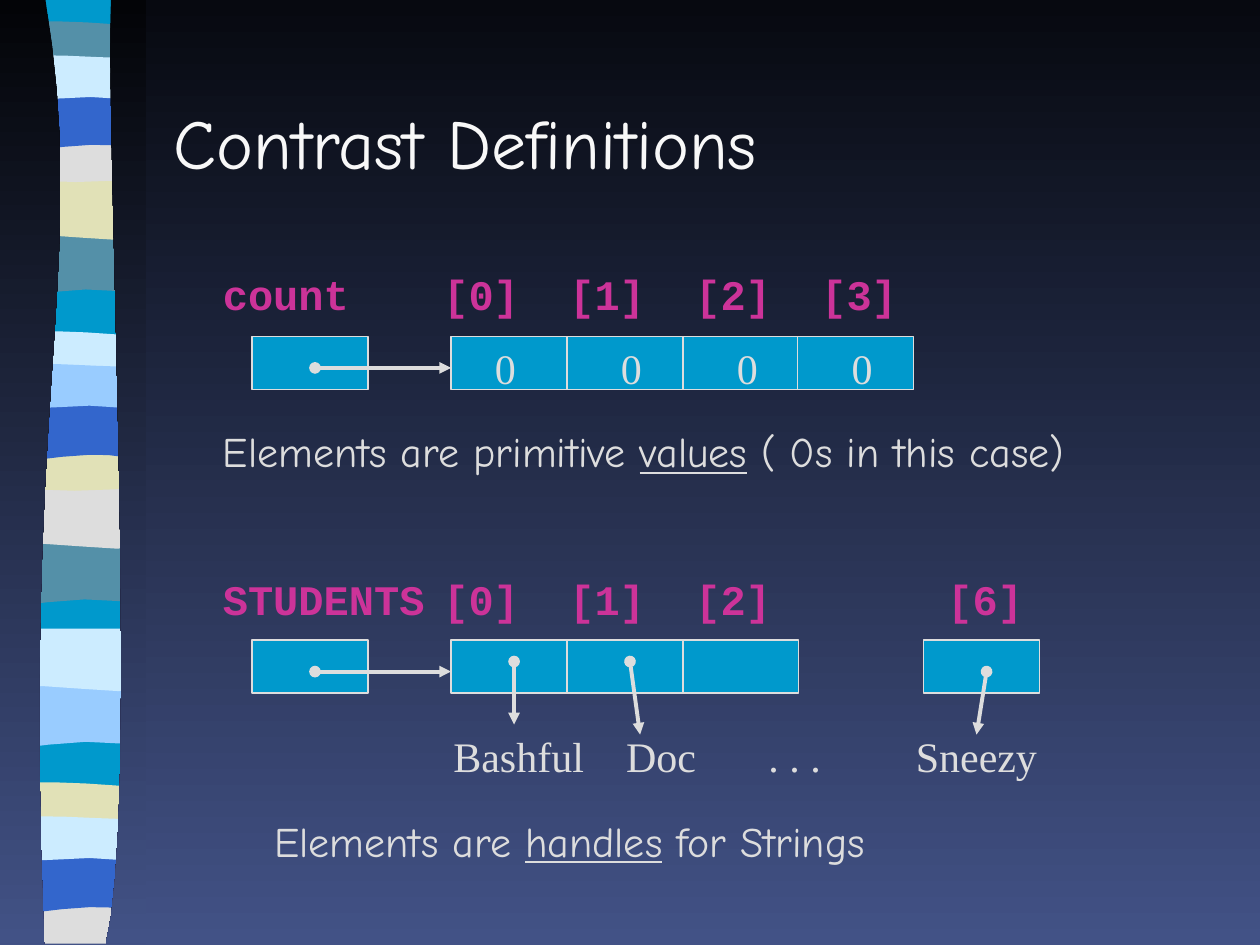
from math import dist

from lxml.etree import SubElement
from pptx import Presentation
from pptx.dml.color import RGBColor
from pptx.enum.shapes import MSO_CONNECTOR, MSO_SHAPE
from pptx.enum.text import MSO_ANCHOR, MSO_AUTO_SIZE
from pptx.oxml.ns import qn
from pptx.util import Inches, Pt

CYAN = RGBColor(0x00, 0x99, 0xCC)
TEAL = RGBColor(0x54, 0x90, 0xA8)
SAND = RGBColor(0xE1, 0xE1, 0xB7)
SILVER = RGBColor(0xDD, 0xDD, 0xDD)
BLUE = RGBColor(0x33, 0x66, 0xCC)
ICE = RGBColor(0xCC, 0xEC, 0xFF)
SKY = RGBColor(0x99, 0xCC, 0xFF)
PINK = RGBColor(0xCC, 0x33, 0x99)
WHITE = RGBColor(0xF8, 0xF8, 0xF8)
NIGHT = RGBColor(0x07, 0x09, 0x10)
BLACK = RGBColor(0x03, 0x04, 0x07)
DUSK = RGBColor(0x42, 0x52, 0x86)

deck = Presentation()
deck.slide_width, deck.slide_height = Inches(10), Inches(7.5)
slide = deck.slides.add_slide(deck.slide_layouts[6])
shapes = slide.shapes


def add_outline(left, top, steps):
    """Draw a closed outline; a step is a point (x, y) or a cubic curve of six numbers."""
    points = [steps[0]]
    for step in steps[1:]:
        if len(step) == 2:
            points.append(step)
            continue
        corners = [points[-1], step[:2], step[2:4], step[4:]]
        count = 2 + round(2 * dist(corners[0], corners[3]))
        for i in range(1, count + 1):
            t = i / count
            weights = ((1 - t) ** 3, 3 * t * (1 - t) ** 2, 3 * t * t * (1 - t), t ** 3)
            points.append(tuple(sum(w * corner[axis] for w, corner in zip(weights, corners))
                                for axis in (0, 1)))
    places = [(Inches(left + x), Inches(top + y)) for x, y in points]
    builder = shapes.build_freeform(*places[0])
    builder.add_line_segments(places[1:], close=True)
    outline = builder.convert_to_shape()
    outline.shadow.inherit = False
    outline.line.fill.background()
    return outline


def add_text(place, pieces, color, font_format, tabs=()):
    """Add a one-line text box; every second piece is underlined."""
    box = shapes.add_textbox(*map(Inches, place))
    frame = box.text_frame
    frame.word_wrap = True
    para = frame.paragraphs[0]
    for i, piece in enumerate(pieces):
        span = para.add_run()
        span.text = piece
        span.font.color.rgb = color
        span.font.underline = i % 2 == 1
        for name, value in font_format.items():
            setattr(span.font, name, value)
    if tabs:
        tab_list = SubElement(para._p.get_or_add_pPr(), qn("a:tabLst"))
        for tab in tabs:
            SubElement(tab_list, qn("a:tab"), pos=str(Inches(tab)), algn="l")
    return frame


# Ribbon: overlapping bands, trimmed by a curved margin on each side
BAND = 1.08
RIBBON = [(BAND, 0), (BAND, 7.48), (0, 7.48), (0, 0)]
WAVE = [(BAND, 0), (BAND, 0.47), (0.33, 0.39, 0.18, 0.55, 0, 0.47), (0, 0)]
SWELL = [(BAND, 0), (BAND, 0.47), (0.9, 0.55, 0.33, 0.41, 0, 0.47), (0, 0)]
LENS = [(BAND, 0.05), (BAND, 0.29), (0.9, 0.33, 0.18, 0.33, 0, 0.29), (0, 0.05),
        (0.06, 0, 0.23, 0.01, 0.41, 0.01), (0.59, 0.01, 0.94, 0.04, BAND, 0.05)]
DIP = (0.66, 0.05, 0.85, 0, BAND, 0)
BOWL = [(BAND, 0), (BAND, 0.32), (0.9, 0.38, 0.18, 0.38, 0, 0.32), (0, 0), DIP]
FOOT = [(BAND, 0), (BAND, 0.37), (0, 0.37), (0, 0), DIP]
ARCH = [(BAND, 0), (BAND, 0.47), (0.91, 0.41, 0.84, 0.41, 0.66, 0.41),
        (0.48, 0.41, 0.16, 0.47, 0, 0.47), (0, 0)]
FLAG = [(BAND, 0.05), (BAND, 0.36), (1.01, 0.41, 0.84, 0.36, 0.66, 0.36),
        (0.48, 0.36, 0.11, 0.41, 0, 0.36), (0, 0.05), (0.15, 0, 0.73, 0.05, 0.91, 0.05)]
bands = [
    (RIBBON, 0.06, -0.01, CYAN),
    (WAVE, 0.06, 1.85, TEAL), (SWELL, 0.06, 1.41, SAND), (LENS, 0.06, 0.16, TEAL),
    (BOWL, 0.06, 1.08, SILVER), (ARCH, 0.06, 0.74, BLUE), (FLAG, 0.06, 0.41, ICE),
    (WAVE, 0.05, 4.31, TEAL), (SWELL, 0.05, 3.86, SILVER), (LENS, 0.05, 2.62, ICE),
    (BOWL, 0.05, 3.53, SAND), (ARCH, 0.05, 3.2, BLUE), (FLAG, 0.05, 2.86, SKY),
    (WAVE, 0.06, 5.44, SKY), (SWELL, 0.06, 4.99, ICE), (LENS, 0.05, 6.2, SAND),
    (FOOT, 0.05, 7.12, SILVER), (ARCH, 0.05, 6.79, BLUE), (FLAG, 0.05, 6.45, ICE),
]
for steps, left, top, color in bands:
    band = add_outline(left, top, steps)
    band.fill.solid()
    band.fill.fore_color.rgb = color

left_margin = add_outline(0, 0, [
    (0.36, -0.01), (0.71, 2.16, 0.17, 2.96, 0.35, 7.49), (0, 7.49), (0, -0.01)])
right_margin = add_outline(0, 0, [
    (0.88, -0.01), (0.84, 1.25, 1.11, 6.46, 0.84, 7.49), (1.16, 7.49), (1.16, -0.01)])
for fill, top_color in ((slide.background.fill, NIGHT), (left_margin.fill, BLACK),
                        (right_margin.fill, BLACK)):
    fill.gradient()
    fill.gradient_angle = 270
    for stop, position, color in zip(fill.gradient_stops, (0, 1), (top_color, DUSK)):
        stop.position = position
        stop.color.rgb = color

title = add_text((1.28, 0.5, 8.5, 1.25), ["Contrast Definitions"], WHITE,
                 {"name": "Comic Neue", "size": Pt(40)})
title.vertical_anchor = MSO_ANCHOR.MIDDLE

# Array cells: the reference cell first, then the elements
CELL_WIDTH, CELL_HEIGHT = 0.92, 0.42
for top, lefts in ((2.67, (2, 3.58, 4.5, 5.42, 6.33)), (5.08, (2, 3.58, 4.5, 5.42, 7.33))):
    for left in lefts:
        cell = shapes.add_shape(MSO_SHAPE.RECTANGLE, Inches(left), Inches(top),
                                Inches(CELL_WIDTH), Inches(CELL_HEIGHT))
        cell.shadow.inherit = False
        cell.fill.solid()
        cell.fill.fore_color.rgb = CYAN
        cell.line.color.rgb = SILVER
        cell.line.width = Pt(0.75)

code = {"name": "Courier New", "size": Pt(24), "bold": True}
value = {"name": "Times New Roman", "size": Pt(24)}
prose = {"name": "Comic Neue", "size": Pt(24)}
texts = [
    ((1.67, 2.08, 1.92, 0.5), ["count"], PINK, code, ()),
    ((3.42, 2.08, 4.25, 0.5), ["[0]\t[1]\t[2]\t[3]"], PINK, code, (1, 2, 3)),
    ((3.83, 2.67, 3.58, 0.5), ["0\t0\t0\t0"], SILVER, value, (1, 1.92, 2.83)),
    ((1.67, 3.33, 7.58, 0.5),
     ["Elements are primitive ", "values", " ( 0s in this case)"], SILVER, prose, ()),
    ((1.67, 4.5, 1.92, 0.5), ["STUDENTS"], PINK, code, ()),
    ((3.42, 4.5, 5.08, 0.5), ["[0]\t[1]\t[2]\t[6]"], PINK, code, (1, 2, 4)),
    ((3.5, 5.75, 4.92, 0.5), ["Bashful\tDoc\t. . .\tSneezy"], SILVER, value,
     (1.37, 2.5, 3.67)),
    ((2.08, 6.42, 7.67, 0.5), ["Elements are ", "handles", " for Strings"], SILVER, prose, ()),
]
for text in texts:
    frame = add_text(*text)
    frame.auto_size = MSO_AUTO_SIZE.SHAPE_TO_FIT_TEXT
    frame.paragraphs[0].space_before = Pt(15)

# Handles: a dot in the cell, an arrow to what it refers to
arrows = [
    (2.5, 2.92, 3.58, 2.92), (2.5, 5.33, 3.58, 5.33),
    (4.08, 5.25, 4.08, 5.75), (5, 5.25, 5.08, 5.83), (7.83, 5.33, 7.75, 5.83),
]
for ends in arrows:
    arrow = shapes.add_connector(MSO_CONNECTOR.STRAIGHT, *map(Inches, ends))
    arrow.line.color.rgb = SILVER
    arrow.line.width = Pt(2.25)
    line_xml = arrow.line._get_or_add_ln()
    SubElement(line_xml, qn("a:headEnd"), type="oval")
    SubElement(line_xml, qn("a:tailEnd"), type="triangle")
    SubElement(arrow._element.spPr, qn("a:effectLst"))

deck.save("out.pptx")
